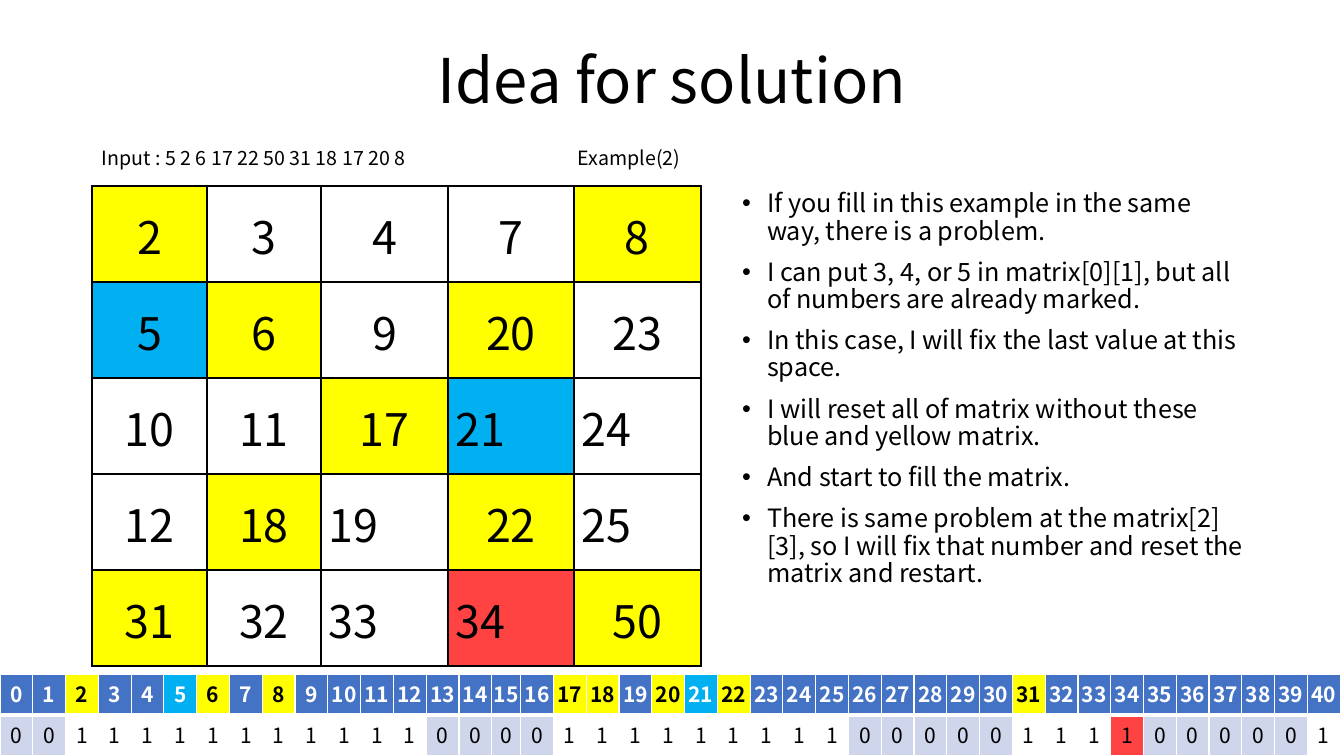
import pptx
import pptx.dml.color
import pptx.enum.text
import pptx.oxml
import pptx.oxml.ns
import pptx.util

FONT = "Noto Sans CJK KR"
YELLOW, BLUE, RED = "FFFF00", "00B0F0", "FF4343"
BLACK, WHITE, HEADER, UNUSED = "000000", "FFFFFF", "4472C4", "CFD5EA"
ALIGN = pptx.enum.text.PP_ALIGN
ANCHOR = pptx.enum.text.MSO_ANCHOR
NAMESPACE = pptx.oxml.ns.nsdecls("a")


def px(pixels):
    return round(pixels * 914400 / 100.8)


def format_text(paragraph, size, color, align=ALIGN.LEFT, bold=False):
    paragraph.alignment = align
    for run in paragraph.runs:
        run.font.name = FONT
        run.font.size = pptx.util.Pt(size)
        run.font.bold = bold
        run.font.color.rgb = pptx.dml.color.RGBColor.from_string(color)


presentation = pptx.Presentation()
presentation.slide_width, presentation.slide_height = px(1344), px(756)
slide = presentation.slides.add_slide(presentation.slide_layouts[1])

title = slide.shapes.title
title.left, title.top, title.width, title.height = px(92), px(11), px(1160), px(146)
title.text_frame.text = "Idea for solution"
title.text_frame.vertical_anchor = ANCHOR.MIDDLE
title.text_frame.paragraphs[0].line_spacing = 0.9
format_text(title.text_frame.paragraphs[0], 44, BLACK, ALIGN.CENTER)

body = slide.placeholders[1]
body.left, body.top, body.width, body.height = px(732), px(186), px(525), px(480)
body.text_frame.text = "\n".join([
    "If you fill in this example in the same way, there is a problem.",
    "I can put 3, 4, or 5 in matrix[0][1], but all of numbers are already marked.",
    "In this case, I will fix the last value at this space.",
    "I will reset all of matrix without these blue and yellow matrix.",
    "And start to fill the matrix.",
    "There is same problem at the matrix[2][3], so I will fix that number and reset the matrix and restart.",
])
body.text_frame.auto_size = pptx.enum.text.MSO_AUTO_SIZE.NONE
for paragraph in body.text_frame.paragraphs:
    paragraph.line_spacing = 0.9
    paragraph.space_before = pptx.util.Pt(10)
    format_text(paragraph, 18, BLACK)
    properties = paragraph._p.get_or_add_pPr()
    properties.set("marL", str(px(25)))
    properties.set("indent", str(-px(25)))
    properties.append(pptx.oxml.parse_xml(f'<a:buFont {NAMESPACE} typeface="Arial"/>'))
    properties.append(pptx.oxml.parse_xml(f'<a:buChar {NAMESPACE} char="•"/>'))

for left, width, caption in [
    (92, 388, "Input : 5 2 6 17 22 50 31 18 17 20 8"),
    (568, 133, "Example(2)"),
]:
    label = slide.shapes.add_textbox(px(left), px(144), px(width), px(42))
    label.text_frame.word_wrap = True
    label.text_frame.text = caption
    paragraph = label.text_frame.paragraphs[0]
    paragraph.line_spacing = 0.9
    paragraph.space_before = pptx.util.Pt(10)
    format_text(paragraph, 14, BLACK)

matrix = [
    [2, 3, 4, 7, 8],
    [5, 6, 9, 20, 23],
    [10, 11, 17, 21, 24],
    [12, 18, 19, 22, 25],
    [31, 32, 33, 34, 50],
]
input_values = {2, 5, 6, 8, 17, 18, 20, 22, 31, 50}
fixed_values = {5, 21}
left_aligned = {19, 21, 24, 25, 33, 34}
numbers = list(range(41))
unused = {0, 1, *range(13, 17), *range(26, 31), *range(35, 40)}
marks = [0 if number in unused else 1 for number in numbers]

matrix_widths = [px(width) for width in (115, 114, 127, 126, 127)]
number_widths = [px(29) if number == 15 else px(1312) // 40 for number in numbers]

for values, left, top, widths, height in [
    (matrix, 92, 186, matrix_widths, 96),
    ([numbers, marks], 0, 674, number_widths, 41),
]:
    is_matrix = values is matrix
    table = slide.shapes.add_table(
        len(values), len(widths), px(left), px(top), sum(widths), px(height * len(values))
    ).table
    table.first_row = table.horz_banding = False
    for column, width in zip(table.columns, widths):
        column.width = width
    for row_index, row in enumerate(values):
        table.rows[row_index].height = px(height)
        for column_index, value in enumerate(row):
            cell = table.cell(row_index, column_index)
            cell.text_frame.text = str(value)
            number = value if is_matrix else column_index
            highlight = BLUE if number in fixed_values else YELLOW if number in input_values else None
            text_color, align = BLACK, ALIGN.CENTER
            if is_matrix:
                fill = RED if number == 34 else highlight
                align = ALIGN.LEFT if number in left_aligned else ALIGN.CENTER
                cell.vertical_anchor = ANCHOR.MIDDLE
                margins = (8 if align == ALIGN.LEFT else 1, 1, 1, 0)
            else:
                margins = (0, 4, 0, 0)
                if row_index == 0:
                    fill = highlight or HEADER
                    text_color = BLACK if fill == YELLOW else WHITE
                else:
                    fill = RED if number == 34 else WHITE if value else UNUSED
            cell.margin_left, cell.margin_top, cell.margin_right, cell.margin_bottom = map(px, margins)
            format_text(cell.text_frame.paragraphs[0], 32 if is_matrix else 15, text_color,
                        align, not is_matrix and row_index == 0)
            divider = None if is_matrix else ("B", "T")[row_index]
            for side in "LRTB":
                line_width = pptx.util.Pt(3 if side == divider else 1)
                cell._tc.get_or_add_tcPr().append(pptx.oxml.parse_xml(
                    f'<a:ln{side} {NAMESPACE} w="{line_width}"><a:solidFill>'
                    f'<a:srgbClr val="{BLACK if is_matrix else WHITE}"/></a:solidFill></a:ln{side}>'
                ))
            if fill:
                cell.fill.solid()
                cell.fill.fore_color.rgb = pptx.dml.color.RGBColor.from_string(fill)
            else:
                cell.fill.background()

presentation.save("out.pptx")
